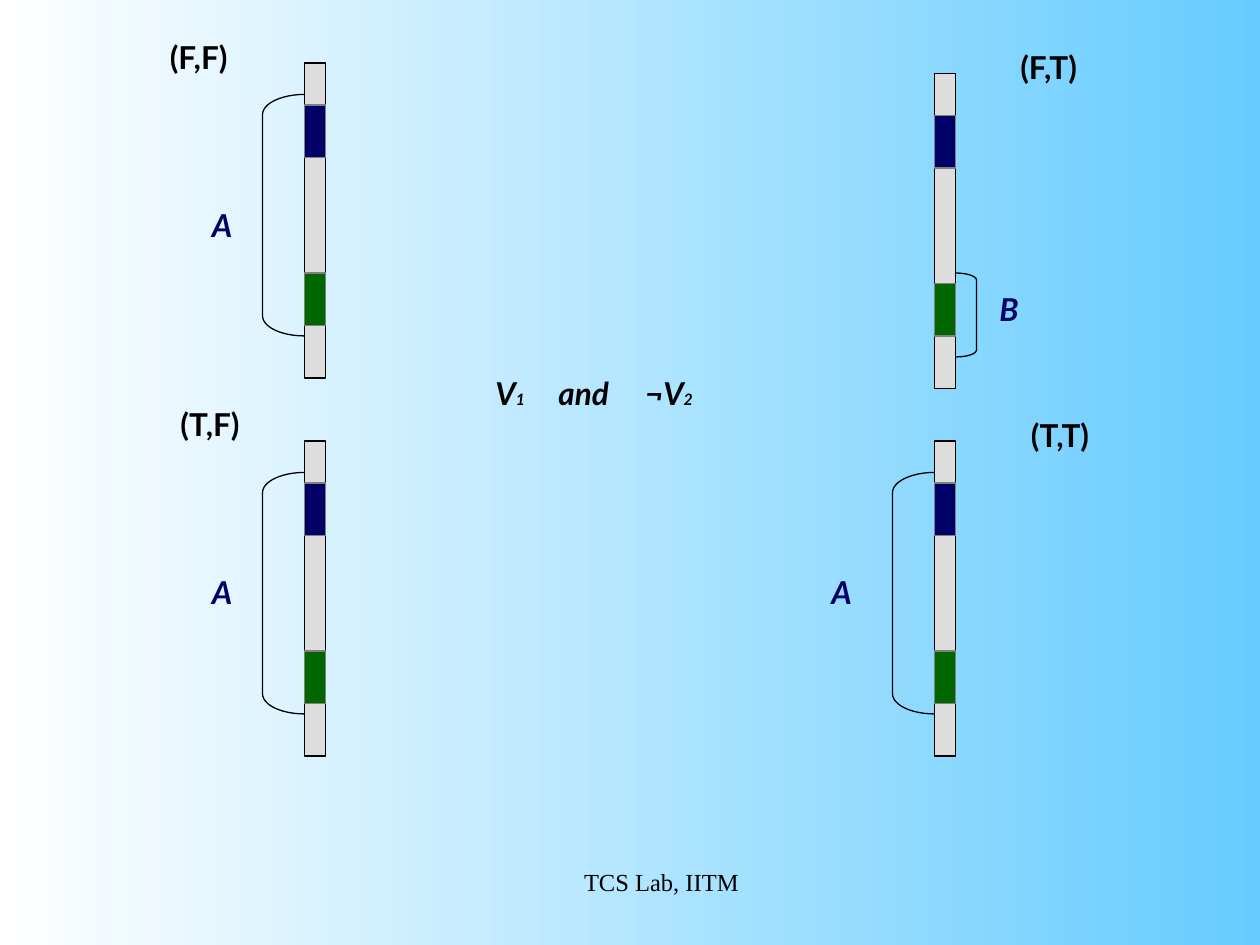
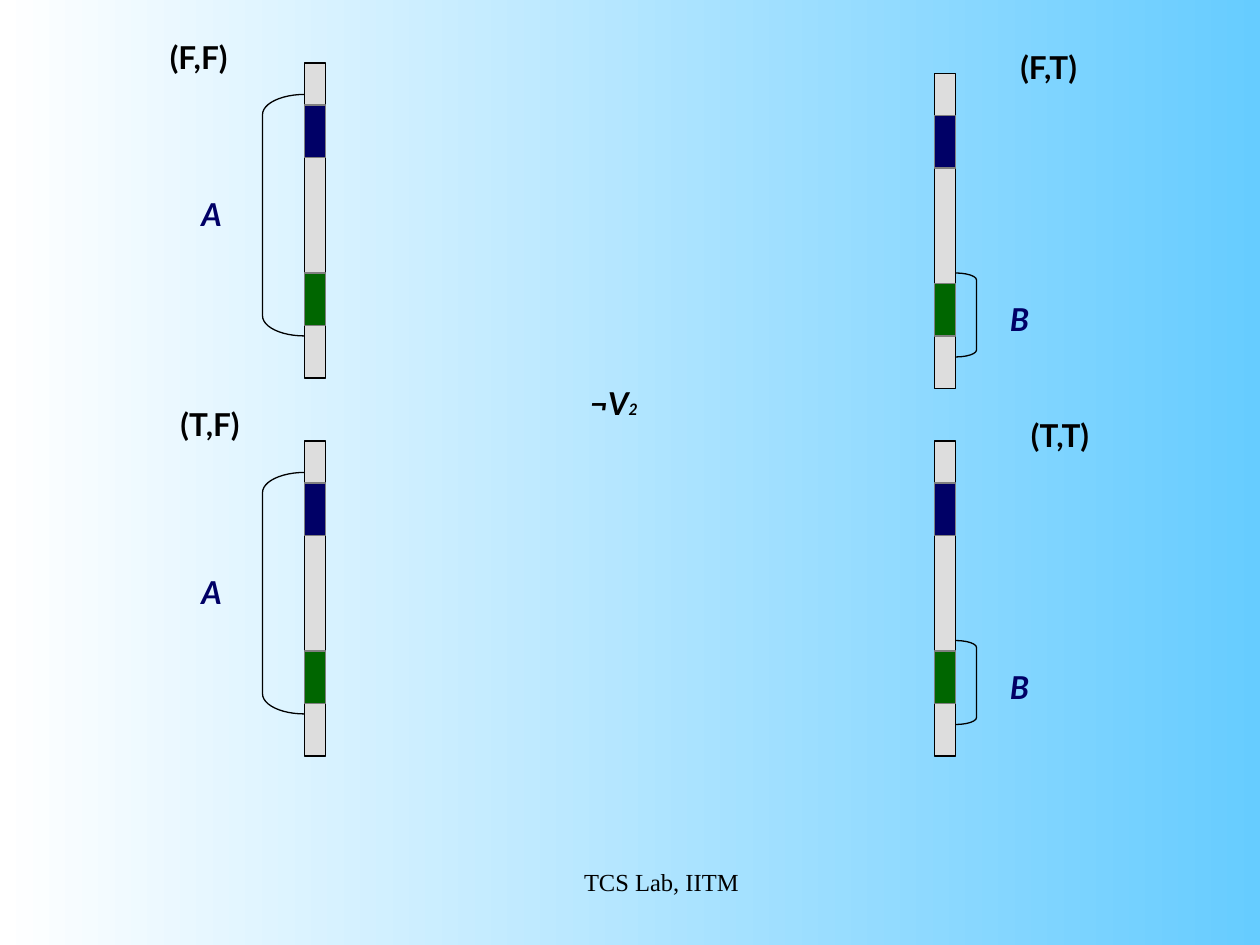
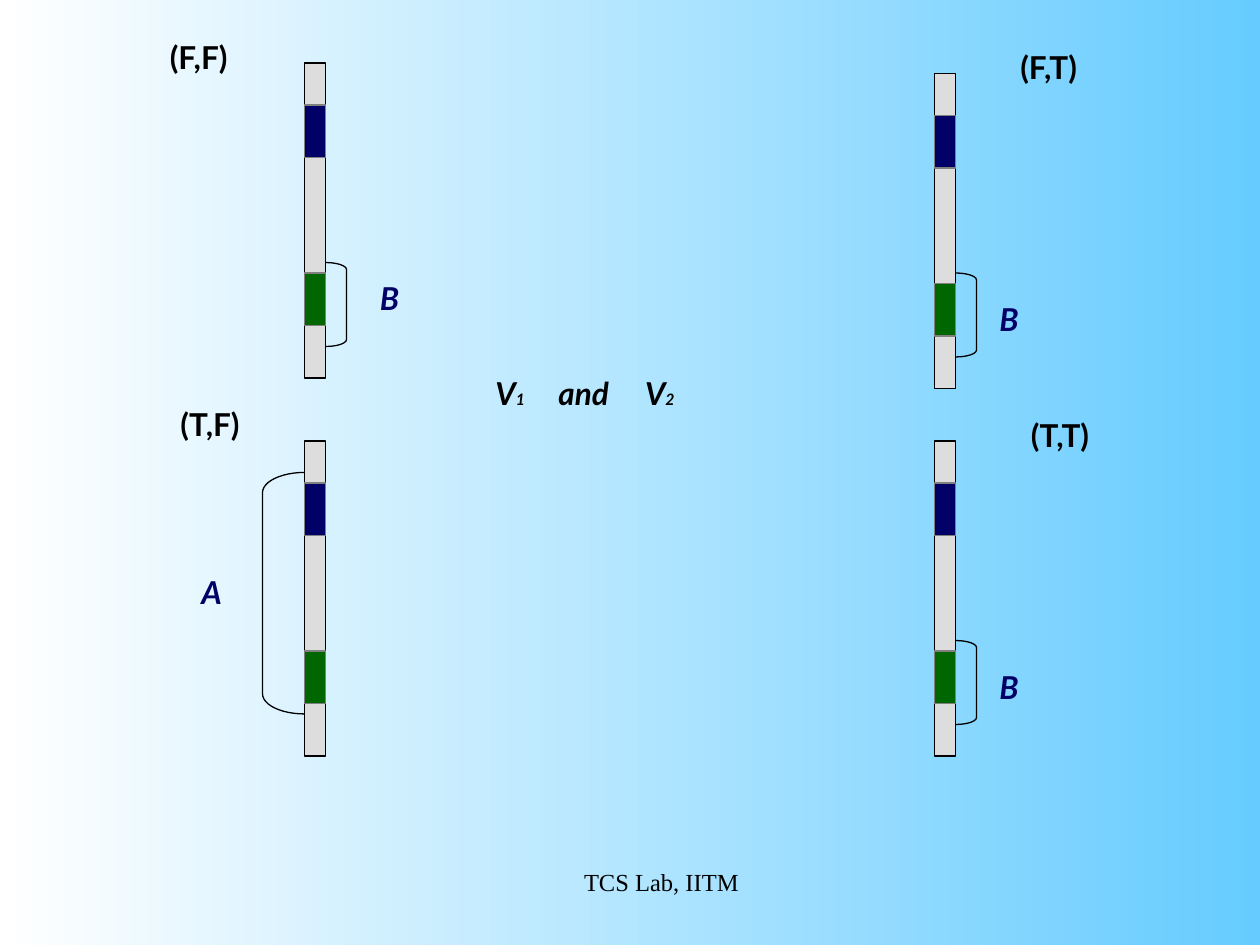
from lxml import etree
from pptx import Presentation
from pptx.dml.color import RGBColor
from pptx.enum import shapes, text
from pptx.oxml.ns import qn
from pptx.util import Pt

PX = 9525  # EMU per px, 96 px to the inch
SIZE = 960, 720

SKY = RGBColor(0x66, 0xCC, 0xFF)
WHITE = RGBColor(0xFF, 0xFF, 0xFF)
BLACK = RGBColor(0, 0, 0)
GRAY = RGBColor(0x80, 0x80, 0x80)
SILVER = RGBColor(0xDD, 0xDD, 0xDD)
NAVY = RGBColor(0, 0, 0x66)
GREEN = RGBColor(0, 0x66, 0)

KIND = shapes.MSO_SHAPE
FOOTER = "TCS Lab, IITM"
BIG, SMALL = 18, 9

# state: (bar left, bar top), (caption left, caption top)
STATES = {
    "(F,F)": ((232, 48), (120, 24)),
    "(F,T)": ((712, 56), (768, 32)),
    "(T,F)": ((232, 336), (128, 304)),
    "(T,T)": ((712, 336), (776, 312)),
}
BAR = 16, 240
STRIPES = [(32, NAVY), (160, GREEN)]  # offset down the bar
STRIPE = 40

# letter: kind, offset from the bar's corner, size, curve
BRACKETS = {
    "A": (KIND.LEFT_BRACKET, (-32, 24), (32, 184), 0.48),
    "B": (KIND.RIGHT_BRACKET, (16, 152), (16, 64), 0.33),
}

V1_AND = [("V", BIG), ("1", SMALL), ("\tand\t", BIG)]
# formula, its box, then for each state the letter and its place
SLIDES = [
    (V1_AND + [("¬V", BIG), ("2", SMALL)], (368, 280, 264, 38), {
        "(F,F)": ("A", 152, 152), "(F,T)": ("B", 752, 216),
        "(T,F)": ("A", 152, 432), "(T,T)": ("A", 624, 432)}),
    ([("¬V", BIG), ("2", SMALL)], (440, 288, 104, 38), {
        "(F,F)": ("A", 144, 144), "(F,T)": ("B", 760, 224),
        "(T,F)": ("A", 144, 432), "(T,T)": ("B", 760, 504)}),
    (V1_AND + [("V", BIG), ("2", SMALL)], (368, 280, 264, 38), {
        "(F,F)": ("B", 280, 208), "(F,T)": ("B", 752, 224),
        "(T,F)": ("A", 144, 432), "(T,T)": ("B", 752, 504)}),
]
TABS = 48, 114


def emu(*nums):
    return [n * PX for n in nums]


def add_form(host, kind, box, fill, line):
    form = host.shapes.add_shape(kind, *emu(*box))
    form.shadow.inherit = False
    if fill is None:
        form.fill.background()
    else:
        form.fill.solid()
        form.fill.fore_color.rgb = fill
    form.line.color.rgb = line
    form.line.width = Pt(0.75)
    return form


def add_text(slide, box, runs, color=BLACK, font="Lato", bold=True,
             italic=False, align=None, tabs=()):
    frame = slide.shapes.add_textbox(*emu(*box)).text_frame
    frame.word_wrap = True
    para = frame.paragraphs[0]
    para.alignment = align
    if tabs:
        stops = etree.SubElement(para._p.get_or_add_pPr(), qn("a:tabLst"))
        for pos in emu(*tabs):
            etree.SubElement(stops, qn("a:tab"), pos=str(pos), algn="l")
    for words, size in runs:
        run = para.add_run()
        run.text = words
        run.font.name = font
        run.font.size = Pt(size)
        run.font.bold = bold
        run.font.italic = italic
        run.font.color.rgb = color


def add_bar(slide, left, top):
    group = slide.shapes.add_group_shape()
    wide, high = BAR
    add_form(group, KIND.RECTANGLE, (left, top, wide, high), SILVER, BLACK)
    for down, color in STRIPES:
        add_form(group, KIND.RECTANGLE, (left, top + down, wide, STRIPE),
                 color, GRAY)


def add_bracket(slide, letter, left, top):
    kind, (right, down), size, curve = BRACKETS[letter]
    form = add_form(slide, kind, (left + right, top + down, *size),
                    None, BLACK)
    form.adjustments[0] = curve


def paint(master):
    """Give every slide the white to sky blue background."""
    fill = master.background.fill
    fill.gradient()
    fill.gradient_angle = 180
    for stop, color in zip(fill.gradient_stops, (SKY, WHITE)):
        stop.color.rgb = color


def main():
    deck = Presentation()
    deck.slide_width, deck.slide_height = emu(*SIZE)
    paint(deck.slide_master)
    for formula, box, marks in SLIDES:
        slide = deck.slides.add_slide(deck.slide_layouts[6])
        for state, (corner, place) in STATES.items():
            letter, *spot = marks[state]
            add_bar(slide, *corner)
            add_bracket(slide, letter, *corner)
            add_text(slide, (*spot, 40, 38), [(letter, BIG)], NAVY,
                     italic=True)
            add_text(slide, (*place, 96, 38), [(state, BIG)])
        add_text(slide, box, formula, italic=True,
                 tabs=TABS if len(formula) > 2 else ())
        add_text(slide, (352, 656, 304, 48), [(FOOTER, 14)],
                 font="Times New Roman", bold=False,
                 align=text.PP_ALIGN.CENTER)
    deck.save("out.pptx")


if __name__ == "__main__":
    main()
